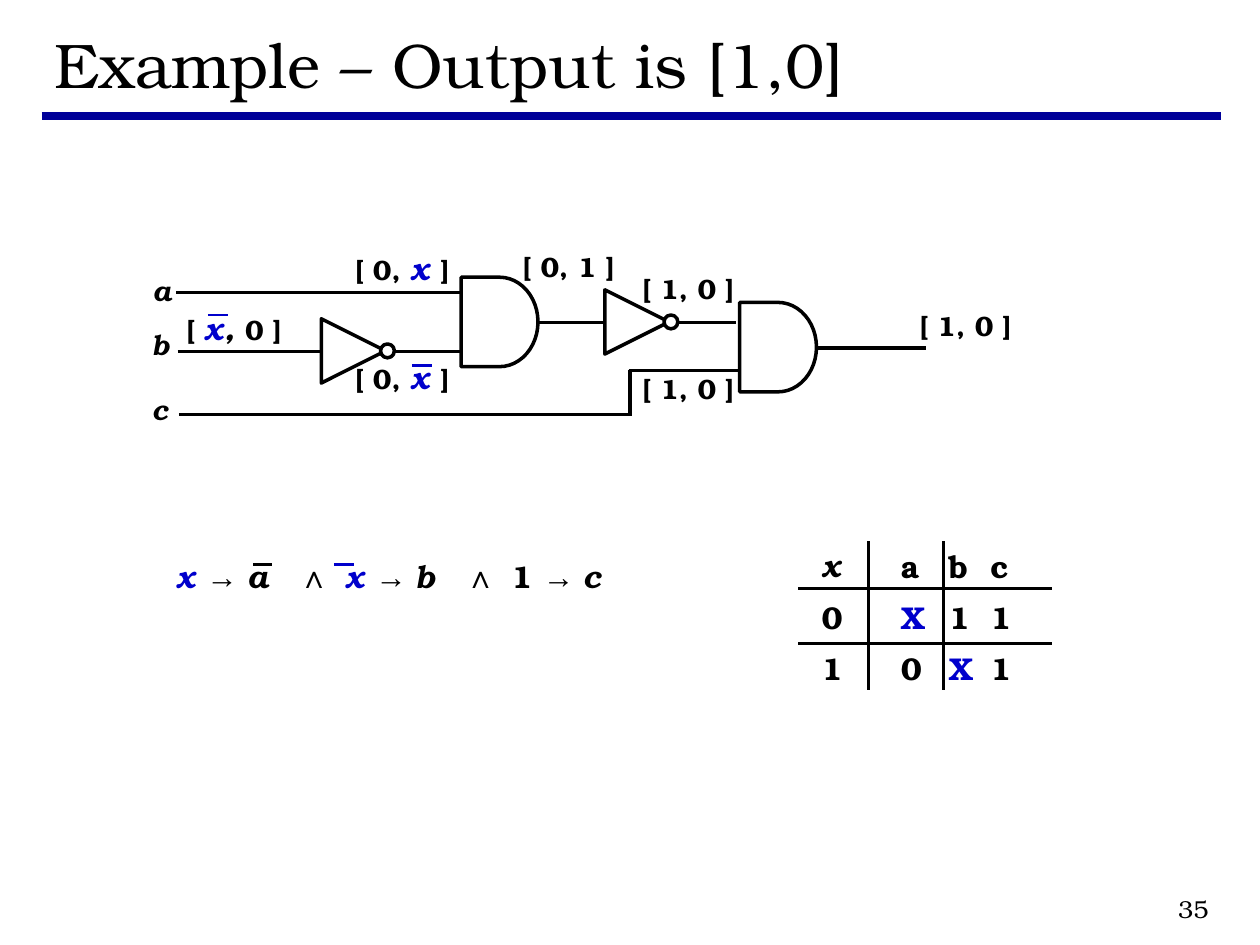
from lxml.etree import SubElement
from pptx import Presentation
from pptx.dml.color import RGBColor
from pptx.enum.shapes import MSO_CONNECTOR, MSO_SHAPE as Geometry
from pptx.enum.text import MSO_ANCHOR as Anchor, MSO_AUTO_SIZE as AutoSize, PP_ALIGN as Align
from pptx.oxml.ns import qn
from pptx.util import Inches, Pt

rgb = RGBColor.from_string
SERIF, SANS = "TeX Gyre Bonum", "Arial"
BLACK, WHITE, BLUE, NAVY = "000000", "FFFFFF", "0000CC", "000099"

deck = Presentation()
deck.slide_width, deck.slide_height = Inches(10), Inches(7.5)
slide = deck.slides.add_slide(deck.slide_layouts[5])
shapes = slide.shapes


def draw_line(x1, y1, x2, y2, color=BLACK, width=2):
    line = shapes.add_connector(
        MSO_CONNECTOR.STRAIGHT, Inches(x1), Inches(y1), Inches(x2), Inches(y2))
    line.line.color.rgb = rgb(color)
    line.line.width = Pt(width)
    SubElement(line._element.spPr, qn("a:effectLst"))


def write_runs(paragraph, runs):
    for text, size, style, color, font in runs:
        run = paragraph.add_run()
        run.text = text
        run.font.name = font
        run.font.size = Pt(size)
        run.font.bold = "b" in style
        run.font.italic = "i" in style
        run.font.color.rgb = rgb(color)


draw_line(0.33, 0.92, 9.69, 0.92, NAVY, 5)
title = shapes.title
title.left, title.top, title.width, title.height = map(Inches, (0.33, 0.17, 9.36, 0.67))
title.text_frame.auto_size = AutoSize.NONE
title.text_frame.vertical_anchor = Anchor.MIDDLE
heading = title.text_frame.paragraphs[0]
heading.alignment = Align.LEFT
write_runs(heading, [("Example – Output is [1,0]", 36, "", BLACK, SERIF)])

wires = [
    (1.4, 2.32, 3.66, 2.32),
    (1.41, 2.79, 3.67, 2.79),
    (1.42, 3.29, 5.01, 3.29),
    (5, 3.3, 5, 2.94),
    (4.99, 2.94, 5.86, 2.94),
    (4.25, 2.56, 5.84, 2.56),
    (6.48, 2.76, 7.35, 2.76),
]
for wire in wires:
    draw_line(*wire)

gates = [
    (Geometry.FLOWCHART_DELAY, 3.66, 2.2, 0.61, 0.71, 0),
    (Geometry.FLOWCHART_DELAY, 5.87, 2.4, 0.61, 0.71, 0),
]
for left, top in [(2.55, 2.53), (4.8, 2.3)]:
    gates.append((Geometry.FLOWCHART_EXTRACT, left, top, 0.51, 0.51, 90))
    gates.append((Geometry.OVAL, left + 0.47, top + 0.2, 0.11, 0.11, 0))
for geometry, left, top, width, height, turn in gates:
    gate = shapes.add_shape(geometry, Inches(left), Inches(top), Inches(width), Inches(height))
    gate.rotation = turn
    gate.shadow.inherit = False
    gate.fill.solid()
    gate.fill.fore_color.rgb = rgb(WHITE)
    gate.line.color.rgb = rgb(BLACK)
    gate.line.width = Pt(2)

x_blue = ("x ", 18, "bi", BLUE, SERIF)
implies = ("→ ", 18, "b", BLACK, SANS)
conjunction = ("∧\t", 18, "b", BLACK, SANS)
zero_x = [("[ 0, ", 16, "b", BLACK, SERIF), x_blue, ("]", 16, "b", BLACK, SERIF)]
formula = [
    x_blue, implies, ("a\t", 18, "bi", BLACK, SERIF), conjunction,
    x_blue, implies, ("b\t", 18, "bi", BLACK, SERIF), conjunction,
    ("1 ", 18, "b", BLACK, SERIF), implies, ("c", 18, "bi", BLACK, SERIF),
]
x_zero = [
    ("[ ", 16, "b", BLACK, SERIF), ("x", 18, "bi", BLUE, SERIF),
    (", ", 18, "bi", BLACK, SERIF), ("0 ]", 16, "b", BLACK, SERIF),
]
labels = [
    (2.72, 1.93, 1.02, 0.4, zero_x),
    (2.72, 2.79, 1.02, 0.4, zero_x),
    (1.38, 2.4, 1.02, 0.4, x_zero),
    (1.3, 4.37, 3.78, 0.4, formula),
]
for name, top in [("a", 2.12), ("b", 2.55), ("c", 3.07)]:
    labels.append((1.11, top, 0.33, 0.37, [(name, 16, "bi", BLACK, SERIF)]))
for pair, left, top in [("[ 0, 1 ]", 4.05, 1.93), ("[ 1, 0 ]", 5, 2.11),
                        ("[ 1, 0 ]", 5, 2.9), ("[ 1, 0 ]", 7.2, 2.4)]:
    labels.append((left, top, 1.02, 0.37, [(pair, 16, "b", BLACK, SERIF)]))
for left, top, width, height, runs in labels:
    label = shapes.add_textbox(Inches(left), Inches(top), Inches(width), Inches(height))
    label.text_frame.word_wrap = width > 0.5
    label.text_frame.auto_size = AutoSize.SHAPE_TO_FIT_TEXT
    paragraph = label.text_frame.paragraphs[0]
    if runs is formula:
        stops = SubElement(paragraph._p.get_or_add_pPr(), qn("a:tabLst"))
        for stop in (0.97, 1.34, 2.29, 2.66):
            SubElement(stops, qn("a:tab"), pos=str(Inches(stop)), algn="l")
    write_runs(paragraph, runs)

draw_line(3.27, 2.9, 3.43, 2.9, BLUE, 1.5)
draw_line(1.65, 2.5, 1.81, 2.5, BLUE, 1.5)
draw_line(2.01, 4.48, 2.16, 4.48, BLACK, 1.75)
draw_line(2.65, 4.48, 2.81, 4.48, BLUE, 1.75)

truth_rows = ["xabc", "0X11", "10X1"]
row_heights = [0.37, 0.44, 0.37]
columns = [(0.55, 0.18), (0.6, 0.26), (0.35, 0.04), (0.5, 0.02)]
truth_table = shapes.add_table(
    3, 4, Inches(6.34), Inches(4.3), Inches(2), Inches(1.18)).table
truth_table.first_row = truth_table.horz_banding = False
for column, (width, indent) in zip(truth_table.columns, columns):
    column.width = Inches(width)
for r, (values, height) in enumerate(zip(truth_rows, row_heights)):
    truth_table.rows[r].height = Inches(height)
    for c, value in enumerate(values):
        cell = truth_table.cell(r, c)
        cell.margin_left = Inches(columns[c][1])
        cell.margin_right = cell.margin_top = cell.margin_bottom = 0
        cell.vertical_anchor = Anchor.MIDDLE
        properties = cell._tc.get_or_add_tcPr()
        for side, shown in [("lnL", c == 1), ("lnR", c == 0), ("lnT", r == 1), ("lnB", r == 0)]:
            if shown:
                border = SubElement(properties, qn(f"a:{side}"), w=str(Pt(2)))
                ink = SubElement(border, qn("a:solidFill"))
                SubElement(ink, qn("a:srgbClr"), val=BLACK)
        cell.fill.background()
        color = BLUE if value == "X" else BLACK
        style = "bi" if value == "x" else "b"
        write_runs(cell.text_frame.paragraphs[0], [(value, 18, style, color, SERIF)])

page_number = shapes.add_textbox(Inches(7.61), Inches(7), Inches(2.08), Inches(0.42))
page_number.text_frame.word_wrap = True
page_number.text_frame.vertical_anchor = Anchor.MIDDLE
page_paragraph = page_number.text_frame.paragraphs[0]
page_paragraph.alignment = Align.RIGHT
write_runs(page_paragraph, [("35", 14, "", BLACK, SERIF)])

deck.save("out.pptx")
